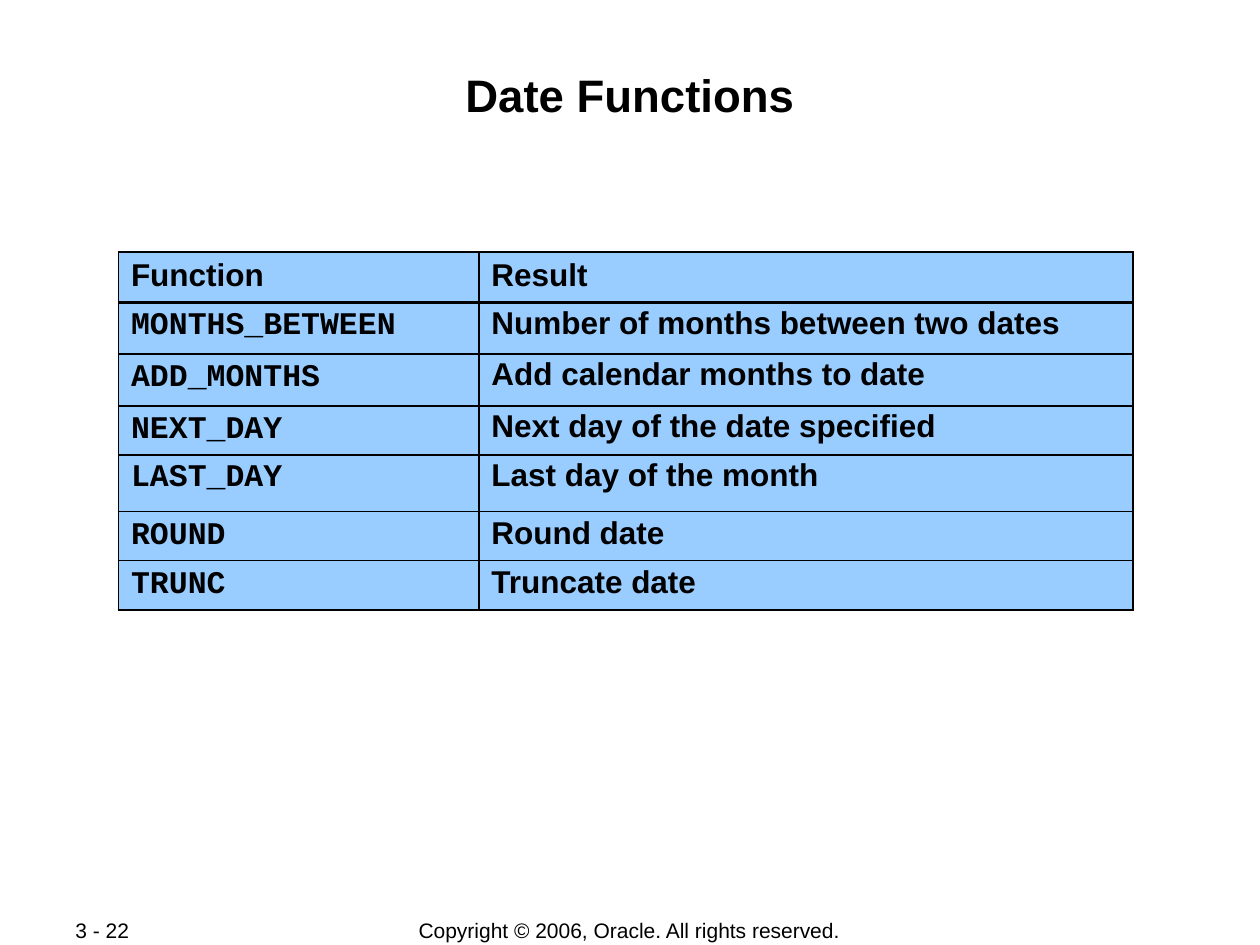
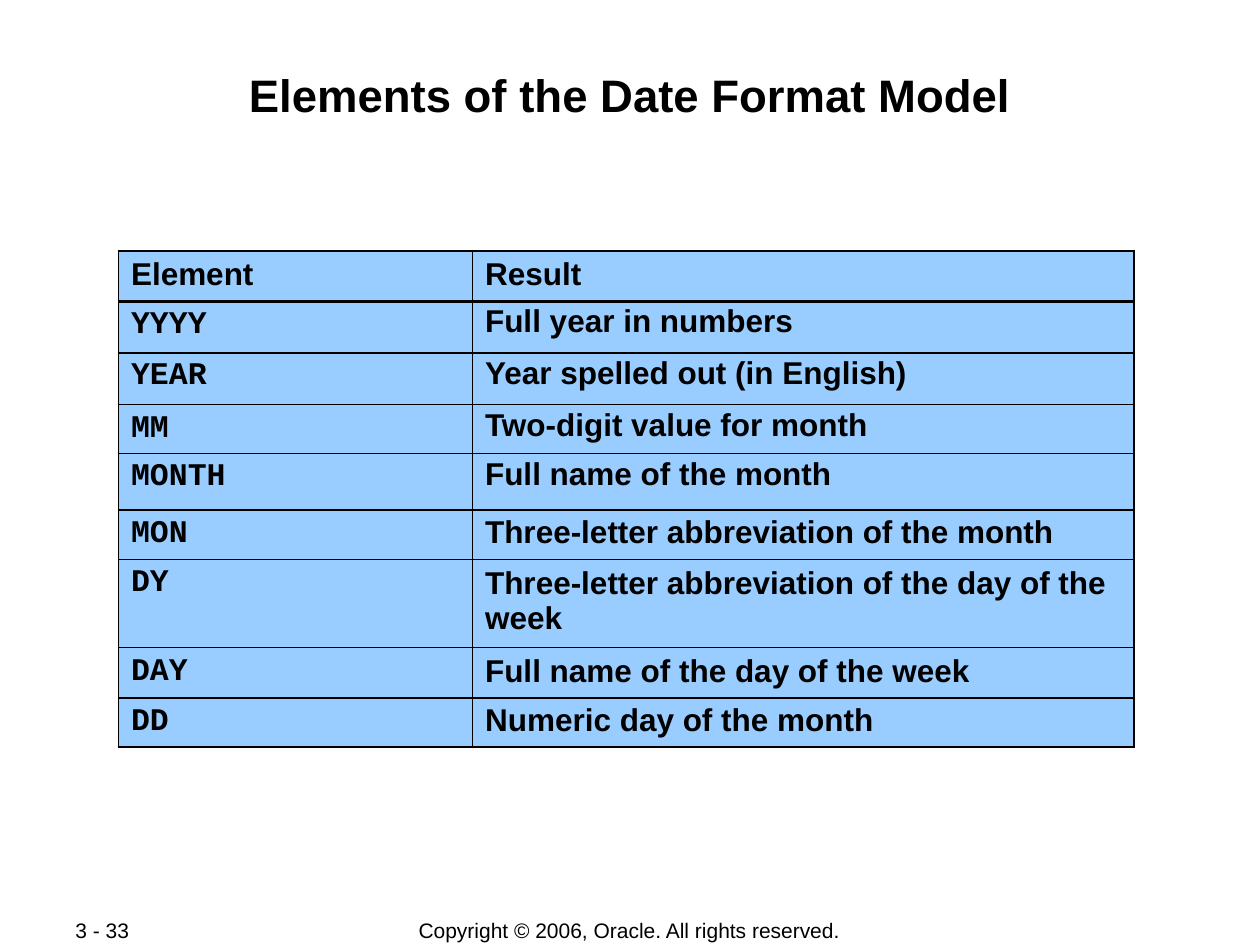
from dataclasses import dataclass

from lxml.etree import SubElement
from pptx import Presentation
from pptx.dml.color import RGBColor
from pptx.enum.text import MSO_ANCHOR, PP_ALIGN
from pptx.oxml.ns import qn
from pptx.util import Inches, Pt


@dataclass(frozen=True)
class Theme:
    """Colours, fonts, type sizes and line widths of the deck."""
    ink: str = "000000"
    cell: str = "99CCFF"
    sans: str = "Arial"
    mono: str = "Courier New"
    title: float = 26
    body: float = 18
    foot: float = 12
    thin: float = 1.08
    thick: float = 2.21


class Deck:
    """Holds the theme and the current slide."""

    def __init__(self, theme):
        """Start an empty deck."""
        self.theme = theme
        self.file = Presentation()
        self.file.slide_width = Inches(10)
        self.file.slide_height = Inches(7.5)
        self.slide = None

    def page(self, title, number):
        """Add a slide with its title and footer."""
        self.slide = self.file.slides.add_slide(self.file.slide_layouts[6])
        self.foot("Copyright © 2006, Oracle. All rights reserved.", 2.75, 4.49, PP_ALIGN.CENTER)
        self.foot(f"3 - {number}", 0.5, 1.06, PP_ALIGN.LEFT)
        self.title(title)

    def box(self, left, top, width, height, side, head):
        """Add a wrapping text frame with equal side and upper margins."""
        area = [Inches(n) for n in (left, top, width, height)]
        frame = self.slide.shapes.add_textbox(*area).text_frame
        frame.word_wrap = True
        frame.margin_left = frame.margin_right = Inches(side)
        frame.margin_top, frame.margin_bottom = Inches(head), 0
        return frame

    def run(self, para, text, size, bold=False, font=None):
        """Add one styled run."""
        run = para.add_run()
        run.text = text
        run.font.name = font or self.theme.sans
        run.font.size = Pt(size)
        run.font.bold = bold
        run.font.color.rgb = RGBColor.from_string(self.theme.ink)

    def title(self, text):
        """Add the slide title."""
        para = self.box(0.67, 0.48, 8.66, 0.96, 0.01, 0.05).paragraphs[0]
        para.alignment = PP_ALIGN.CENTER
        self.run(para, text, self.theme.title, True)

    def foot(self, text, left, width, align):
        """Add one footer part."""
        frame = self.box(left, 7.28, width, 0.21, 0.1, 0)
        frame.vertical_anchor = MSO_ANCHOR.MIDDLE
        frame.paragraphs[0].alignment = align
        self.run(frame.paragraphs[0], text, self.theme.foot)

    def edge(self, cell, side, width):
        """Draw one border of a cell."""
        line = SubElement(cell._tc.get_or_add_tcPr(), qn(f"a:ln{side}"), w=str(Pt(width)))
        fill = SubElement(line, qn("a:solidFill"))
        SubElement(fill, qn("a:srgbClr"), val=self.theme.ink)

    def cell(self, cell, text, gap, font, row):
        """Fill one table cell and rule its edges."""
        look = self.theme
        for side in "LRTB":
            heavy = (side, row) in (("B", 0), ("T", 1))
            self.edge(cell, side, look.thick if heavy else look.thin)
        cell.fill.solid()
        cell.fill.fore_color.rgb = RGBColor.from_string(look.cell)
        para = cell.text_frame.paragraphs[0]
        para.line_spacing = gap
        self.run(para, text, look.body, True, font)

    def table(self, top, cols, rows):
        """Add a table of codes and their results."""
        high = sum(row[0] for row in rows)
        area = [Inches(n) for n in (0.94, top, sum(cols), high)]
        grid = self.slide.shapes.add_table(len(rows), len(cols), *area).table
        grid.first_row = grid.horz_banding = False
        for col, width in zip(grid.columns, cols):
            col.width = Inches(width)
        for num, (height, code, tight, result, gap) in enumerate(rows):
            grid.rows[num].height = Inches(height)
            font = self.theme.mono if num else self.theme.sans
            self.cell(grid.cell(num, 0), code, tight, font, num)
            self.cell(grid.cell(num, 1), result, gap, self.theme.sans, num)


def main():
    """Build and save both slides."""
    deck = Deck(Theme())

    deck.page("Date Functions", 22)
    deck.table(2, (2.86, 5.19), (
        (0.4, "Function", 1.0, "Result", 1.0),
        (0.41, "MONTHS_BETWEEN", 0.9, "Number of months between two dates", 0.9),
        (0.41, "ADD_MONTHS", 0.9, "Add calendar months to date", 0.9),
        (0.39, "NEXT_DAY", 0.95, "Next day of the date specified", 0.9),
        (0.45, "LAST_DAY", 0.9, "Last day of the month", 0.9),
        (0.39, "ROUND", 0.95, "Round date", 0.95),
        (0.39, "TRUNC", 0.95, "Truncate date", 0.95),
    ))

    deck.page("Elements of the Date Format Model", 33)
    deck.table(1.99, (2.81, 5.25), (
        (0.4, "Element", 1.0, "Result", 1.0),
        (0.41, "YYYY", 0.9, "Full year in numbers", 0.9),
        (0.41, "YEAR", 0.9, "Year spelled out (in English)", 0.9),
        (0.39, "MM", 0.95, "Two-digit value for month", 0.9),
        (0.45, "MONTH", 0.9, "Full name of the month", 0.9),
        (0.39, "MON", 0.95, "Three-letter abbreviation of the month", 0.95),
        (0.7, "DY", 0.95, "Three-letter abbreviation of the day of the week", 1.0),
        (0.4, "DAY", 0.95, "Full name of the day of the week", 1.0),
        (0.39, "DD", 0.95, "Numeric day of the month", 0.95),
    ))

    deck.file.save("out.pptx")


if __name__ == "__main__":
    main()
